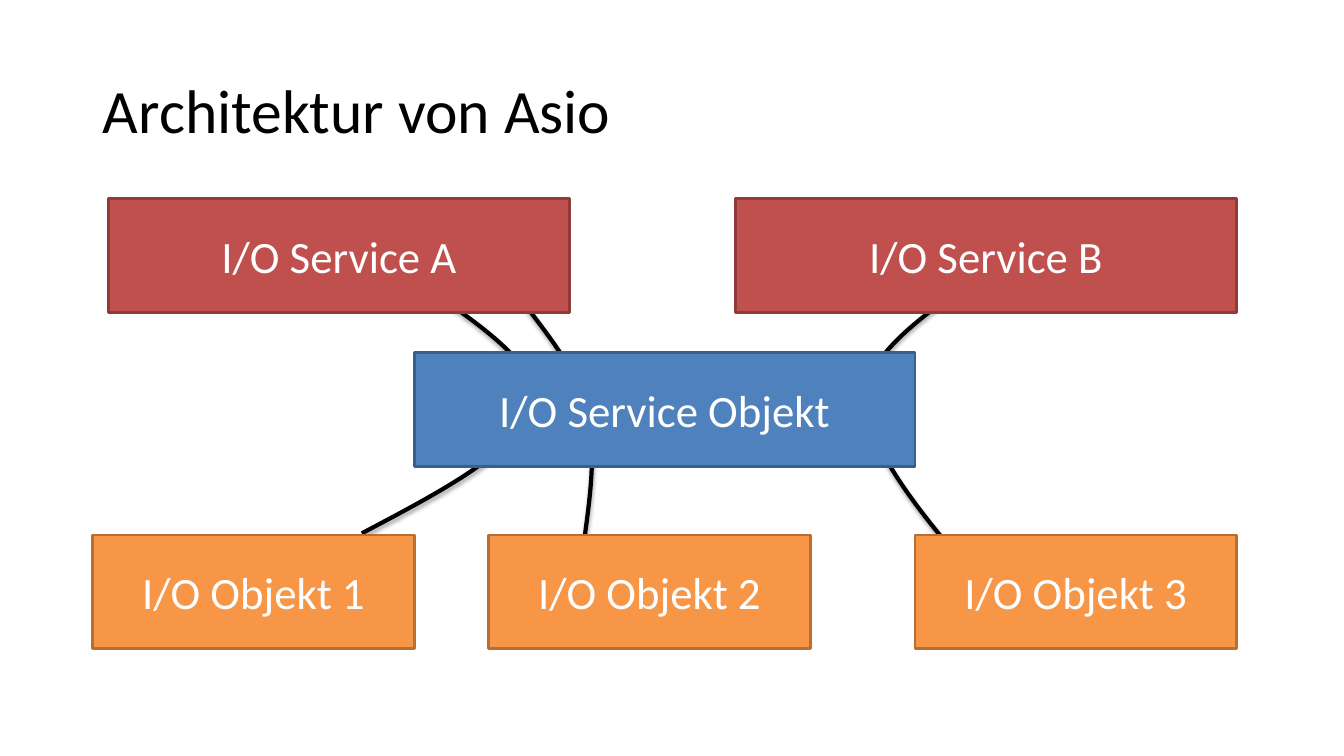
from lxml import etree
from pptx import Presentation
from pptx import util as u
from pptx.dml.color import RGBColor
from pptx.enum import shapes, text
from pptx.oxml import parse_xml
from pptx.oxml.ns import nsdecls, qn

COLORS = {
    "title": "000000", "label": "FFFFFF", "curve": "000000",
    "service": "C0504D", "service_line": "8E3B39",
    "core": "4F81BD", "core_line": "3A5F8C",
    "object": "F79646", "object_line": "B76F34",
}
TITLE_FONT = {"name": "Calibri", "size": u.Pt(44), "bold": False}
LABEL_FONT = {"name": "Calibri", "size": u.Pt(32), "bold": False}
TITLE_PARAGRAPH = {"alignment": text.PP_ALIGN.LEFT, "line_spacing": 0.9}
LABEL_PARAGRAPH = {"alignment": text.PP_ALIGN.CENTER}
FRAME = {"vertical_anchor": text.MSO_ANCHOR.MIDDLE, "word_wrap": True}

BOX_HEIGHT = 2.87
SERVICE_TOP, CORE_TOP, OBJECT_TOP = 0, 3.89, 8.48
BOXES = [
    ("I/O Service Objekt", "core", 8.1, CORE_TOP, 12.62),
    ("I/O Service A", "service", 0.4, SERVICE_TOP, 11.61),
    ("I/O Service B", "service", 16.2, SERVICE_TOP, 12.62),
    ("I/O Objekt 1", "object", 0, OBJECT_TOP, 8.1),
    ("I/O Objekt 2", "object", 9.98, OBJECT_TOP, 8.1),
    ("I/O Objekt 3", "object", 20.72, OBJECT_TOP, 8.1),
]
CURVES = [
    [(6.78, 8.44), (8.99, 7.27), (11.2, 6.13), (11.1, 4.83),
     (10.97, 3.56), (6.93, 1.43), (6.04, 0.77)],
    [(12.34, 8.92), (12.52, 7.62), (12.72, 6.35), (12.44, 5.29),
     (12.19, 4.19), (11.1, 3.03), (10.72, 2.42)],
    [(22.78, 10.16), (21.16, 8.31), (19.55, 6.46), (19.48, 5.08),
     (19.4, 3.69), (21.97, 2.37), (22.32, 1.86)],
]


def color(name):
    return RGBColor.from_string(COLORS[name])


def set_attributes(target, values):
    for name, value in values.items():
        setattr(target, name, value)


def write_text(shape, words, paragraph_format, font_format, color_name):
    set_attributes(shape.text_frame, FRAME)
    paragraph = shape.text_frame.paragraphs[0]
    set_attributes(paragraph, paragraph_format)
    run = paragraph.add_run()
    run.text = words
    set_attributes(run.font, font_format)
    run.font.color.rgb = color(color_name)


def set_line(shape, color_name, width):
    shape.line.color.rgb = color(color_name)
    shape.line.width = u.Pt(width)


def add_box(slide, words, role, left, top, width):
    shape = slide.shapes.add_shape(
        shapes.MSO_SHAPE.RECTANGLE,
        u.Cm(left), u.Cm(top), u.Cm(width), u.Cm(BOX_HEIGHT))
    shape.shadow.inherit = False
    shape.fill.solid()
    shape.fill.fore_color.rgb = color(role)
    set_line(shape, f"{role}_line", 2)
    write_text(shape, words, LABEL_PARAGRAPH, LABEL_FONT, "label")


def bend_segments(shape):
    segments = list(shape.element.iter(qn("a:lnTo")))
    for first, second, third in zip(*[iter(segments)] * 3):
        bezier = etree.Element(qn("a:cubicBezTo"))
        first.addprevious(bezier)
        for segment in (first, second, third):
            bezier.append(segment[0])
            segment.getparent().remove(segment)


def add_shadow(shape):
    shape.element.spPr.append(parse_xml(
        f'<a:effectLst {nsdecls("a")}>'
        f'<a:outerShdw blurRad="{u.Pt(3.1)}" dist="{u.Pt(1.8)}" dir="5400000" rotWithShape="0">'
        f'<a:srgbClr val="{COLORS["curve"]}"><a:alpha val="35000"/></a:srgbClr>'
        '</a:outerShdw></a:effectLst>'))


def add_curve(slide, points):
    start, *controls = [(u.Cm(x), u.Cm(y)) for x, y in points]
    builder = slide.shapes.build_freeform(*start)
    builder.add_line_segments(controls, close=False)
    shape = builder.convert_to_shape()
    bend_segments(shape)
    shape.fill.background()
    set_line(shape, "curve", 3)
    add_shadow(shape)


def add_title(slide, left, top, width, height):
    title = slide.shapes.title
    set_attributes(title, {"left": u.Cm(left), "top": u.Cm(top),
                           "width": u.Cm(width), "height": u.Cm(height)})
    write_text(title, "Architektur von Asio", TITLE_PARAGRAPH, TITLE_FONT, "title")


def add_architecture(slide, left, top):
    for points in CURVES:
        add_curve(slide, [(left + x, top + y) for x, y in points])
    for words, role, x, y, width in BOXES:
        add_box(slide, words, role, left + x, top + y, width)


presentation = Presentation()
presentation.slide_width = u.Cm(33.87)
presentation.slide_height = u.Cm(19.05)
slide = presentation.slides.add_slide(presentation.slide_layouts[5])
add_title(slide, 2.34, 1.02, 29.21, 3.68)
add_architecture(slide, 2.34, 5)
presentation.save("out.pptx")
